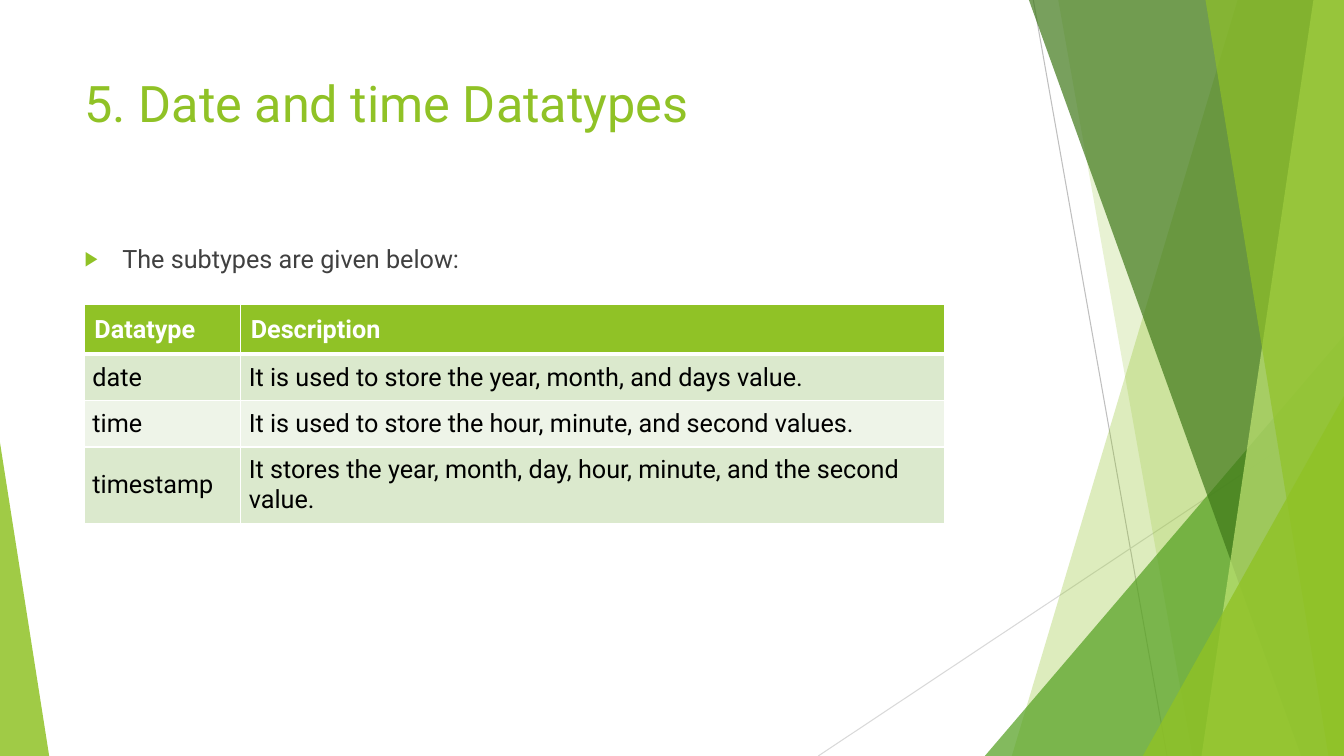
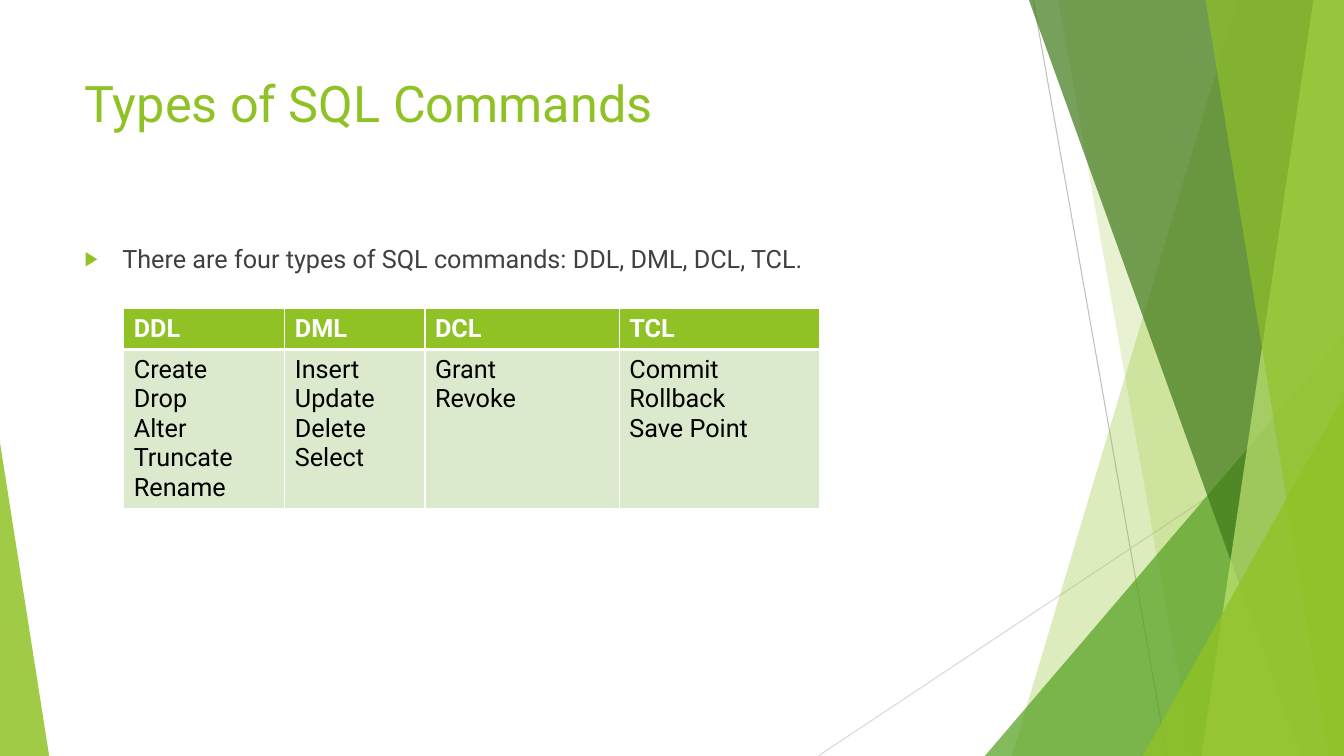
from dataclasses import dataclass
from typing import NamedTuple

from lxml.etree import SubElement
from pptx import Presentation
from pptx.dml.color import RGBColor
from pptx.enum.shapes import MSO_CONNECTOR, MSO_SHAPE
from pptx.enum.text import MSO_ANCHOR, MSO_AUTO_SIZE, PP_ALIGN
from pptx.oxml.ns import qn
from pptx.util import Cm, Pt


@dataclass(frozen=True)
class Theme:
    font: str = "Roboto"
    title_size: int = 36
    text_size: int = 18
    lime: str = "90C226"
    green: str = "54A021"
    forest: str = "3F7819"
    pale_lime: str = "C0E474"
    dark_ray: str = "BFBFBF"
    light_ray: str = "D9D9D9"
    body: str = "404040"
    cell_text: str = "000000"
    white: str = "FFFFFF"
    rows: tuple = ("DBE9CD", "EEF4E8")


class Box(NamedTuple):
    """A region in centimetres."""
    left: float
    top: float
    width: float
    height: float

    def lengths(self):
        return [Cm(value) for value in self]


THEME = Theme()
PAGE = Box(0, 0, 33.87, 19.05)
TITLE = Box(1.88, 1.7, 23.88, 3.66)
BODY = Box(1.88, 6, 23.88, 10.77)

# Rays: start, end, colour
RAYS = [
    ((26.04, 0), (29.41, PAGE.height), THEME.dark_ray),
    ((PAGE.width, 10.24), (20.62, PAGE.height), THEME.light_ray),
]
# Facets, back to front. Band: top x, bottom x. Triangle: left, top, width, apex
FACETS = [
    ("band", (31.19, 25.5), THEME.lime, 30),
    ("band", (26.67, 30.05), THEME.lime, 20),
    ("triangle", (24.82, 8.46, 9.05, 1), THEME.green, 72),
    ("band", (25.93, 32.79), THEME.forest, 70),
    ("band", (33.1, 30.28), THEME.pale_lime, 70),
    ("band", (30.38, 33.48), THEME.lime, 65),
    ("triangle", (28.8, 9.98, 5.07, 1), THEME.lime, 80),
    ("triangle", (0, 11.15, 1.24, 0), THEME.lime, 85),
]


def rgb(colour):
    return RGBColor.from_string(colour)


def style_font(paragraph, size, colour, bold=False):
    font = paragraph.font
    font.name, font.size, font.bold = THEME.font, Pt(size), bold
    font.color.rgb = rgb(colour)


# Background facets
def add_ray(shapes, page, start, end, colour):
    points = [Cm(value) for x, y in (start, end)
              for value in (page.left + x, page.top + y)]
    ray = shapes.add_connector(MSO_CONNECTOR.STRAIGHT, *points)
    ray.line.color.rgb = rgb(colour)
    ray.line.width = Pt(0.75)
    SubElement(ray._element.spPr, qn("a:effectLst"))


def add_band(shapes, page, top_x, bottom_x):
    right, bottom = page.left + page.width, page.top + page.height
    corners = [(page.left + top_x, page.top), (right, page.top),
               (right, bottom), (page.left + bottom_x, bottom)]
    points = [(Cm(x), Cm(y)) for x, y in corners]
    outline = shapes.build_freeform(*points[0])
    outline.add_line_segments(points[1:], close=True)
    return outline.convert_to_shape()


def add_triangle(shapes, page, left, top, width, apex):
    box = Box(page.left + left, page.top + top, width, page.height - top)
    triangle = shapes.add_shape(MSO_SHAPE.ISOSCELES_TRIANGLE, *box.lengths())
    triangle.adjustments[0] = apex
    return triangle


def paint_facet(facet, colour, opacity):
    facet.shadow.inherit = False
    facet.fill.solid()
    facet.fill.fore_color.rgb = rgb(colour)
    facet.line.fill.background()
    tint = next(facet._element.spPr.iter(qn("a:srgbClr")))
    SubElement(tint, qn("a:alpha"), val=str(opacity * 1000))


def add_backdrop(slide, page):
    backdrop = slide.shapes.add_group_shape()
    for ray in RAYS:
        add_ray(backdrop.shapes, page, *ray)
    builders = {"band": add_band, "triangle": add_triangle}
    for kind, geometry, colour, opacity in FACETS:
        facet = builders[kind](backdrop.shapes, page, *geometry)
        paint_facet(facet, colour, opacity)
    # Behind the placeholders
    slide.shapes._spTree.insert(2, backdrop._element)


# Title and list
def place_text(holder, box, text):
    holder.left, holder.top, holder.width, holder.height = box.lengths()
    frame = holder.text_frame
    frame.text = text
    frame.word_wrap = True
    frame.auto_size = MSO_AUTO_SIZE.NONE
    frame.vertical_anchor = MSO_ANCHOR.TOP
    paragraph = frame.paragraphs[0]
    paragraph.alignment = PP_ALIGN.LEFT
    paragraph.space_before = Pt(0)
    return paragraph


def add_bullet(paragraph):
    props = paragraph._p.get_or_add_pPr()
    props.set("marL", str(Cm(0.95)))
    props.set("indent", str(Cm(-0.95)))
    SubElement(SubElement(props, qn("a:buClr")), qn("a:srgbClr"), val=THEME.lime)
    SubElement(props, qn("a:buSzPct"), val="80000")
    SubElement(props, qn("a:buChar"), char="▶")


def add_title(slide, box, text):
    title = place_text(slide.shapes.title, box, text)
    style_font(title, THEME.title_size, THEME.lime)


def add_list(slide, box, text):
    item = place_text(slide.placeholders[1], box, text)
    add_bullet(item)
    style_font(item, THEME.text_size, THEME.body)


# Tables
def set_borders(cell, row):
    props = cell._tc.get_or_add_tcPr()
    heavy = {0: "lnB", 1: "lnT"}.get(row)
    for place, side in enumerate(("lnL", "lnR", "lnT", "lnB")):
        width = Pt(3 if side == heavy else 1)
        edge = SubElement(props, qn(f"a:{side}"), w=str(width))
        fill = SubElement(edge, qn("a:solidFill"))
        SubElement(fill, qn("a:srgbClr"), val=THEME.white)
        props.insert(place, edge)


def fill_cell(cell, row, text, inset, anchor):
    header = row == 0
    cell.fill.solid()
    cell.fill.fore_color.rgb = rgb(
        THEME.lime if header else THEME.rows[(row - 1) % 2])
    set_borders(cell, row)
    cell.vertical_anchor = anchor
    if inset:
        cell.margin_left = cell.margin_right = Cm(inset)
        cell.margin_top = cell.margin_bottom = Cm(inset)
    cell.text = text
    for paragraph in cell.text_frame.paragraphs:
        style_font(paragraph, THEME.text_size,
                   THEME.white if header else THEME.cell_text, header)


def add_grid(slide, box, left, top, widths, heights, rows,
             insets=(None, None), body_anchor=MSO_ANCHOR.TOP):
    """Place a table at an offset from the corner of box."""
    area = Box(box.left + left, box.top + top, sum(widths), sum(heights))
    grid = slide.shapes.add_table(len(rows), len(widths), *area.lengths()).table
    for column, width in zip(grid.columns, widths):
        column.width = Cm(width)
    for line, height in zip(grid.rows, heights):
        line.height = Cm(height)
    for r, texts in enumerate(rows):
        inset = insets[min(r, 1)]
        anchor = body_anchor if r else MSO_ANCHOR.TOP
        for c, text in enumerate(texts):
            fill_cell(grid.cell(r, c), r, text, inset, anchor)


def add_table_slide(deck, title, intro, grid):
    slide = deck.slides.add_slide(deck.slide_layouts[1])
    add_backdrop(slide, PAGE)
    add_title(slide, TITLE, title)
    add_list(slide, BODY, intro)
    add_grid(slide, BODY, **grid)


DATATYPES = dict(
    left=0.25, top=1.68, widths=(3.94, 17.73), heights=(1.23, 1.17, 1.17, 1.92),
    insets=(0.25, 0.2), body_anchor=MSO_ANCHOR.MIDDLE,
    rows=[
        ("Datatype", "Description"),
        ("date", "It is used to store the year, month, and days value."),
        ("time", "It is used to store the hour, minute, and second values."),
        ("timestamp",
         "It stores the year, month, day, hour, minute, and the second value."),
    ],
)
COMMANDS = dict(
    left=1.24, top=1.78, widths=(4.06, 3.53, 4.9, 5.05), heights=(1.03, 4),
    rows=[
        ("DDL", "DML", "DCL", "TCL"),
        ("Create\nDrop\nAlter\nTruncate\nRename",
         "Insert\nUpdate\nDelete\nSelect",
         "Grant\nRevoke",
         "Commit\nRollback\nSave Point"),
    ],
)


def main():
    deck = Presentation()
    deck.slide_width, deck.slide_height = Cm(PAGE.width), Cm(PAGE.height)
    add_table_slide(deck, "5. Date and time Datatypes",
                    "The subtypes are given below:", DATATYPES)
    add_table_slide(deck, "Types of SQL Commands",
                    "There are four types of SQL commands: DDL, DML, DCL, TCL.",
                    COMMANDS)
    deck.save("out.pptx")


if __name__ == "__main__":
    main()
